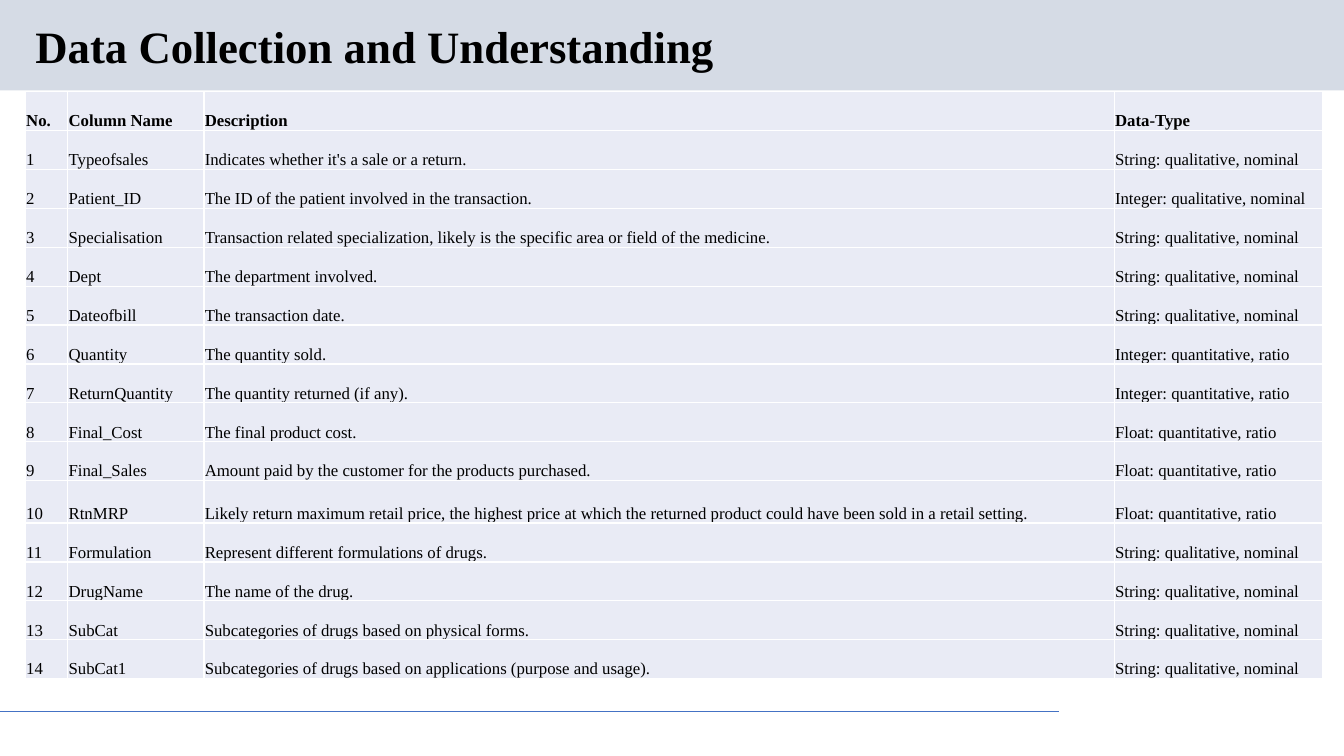
"""Build the slide that lists the columns of the sales data."""
import pptx
import pptx.util
import pptx.dml.color
import pptx.enum.shapes
import pptx.enum.text
import pptx.oxml
import pptx.oxml.ns
from pptx.util import Cm

FONT = "Times New Roman"


def color(code):
    return pptx.dml.color.RGBColor.from_string(code)


def style(para, size, bold):
    para.font.name = FONT
    para.font.size = pptx.util.Pt(size)
    para.font.bold = bold
    para.font.color.rgb = color("000000")


deck = pptx.Presentation()
deck.slide_width, deck.slide_height = Cm(33.87), Cm(19.05)
slide = deck.slides.add_slide(deck.slide_layouts[6])
shapes = slide.shapes

band = shapes.add_shape(pptx.enum.shapes.MSO_SHAPE.RECTANGLE, 0, 0, deck.slide_width, Cm(2.28))
band.shadow.inherit = False
band.fill.solid()
band.fill.fore_color.rgb = color("D5DBE5")
band.line.fill.background()

rule = shapes.add_connector(pptx.enum.shapes.MSO_CONNECTOR.STRAIGHT, 0, Cm(17.93), Cm(26.7), Cm(17.93))
rule.line.color.rgb = color("4472C4")
rule.line.width = pptx.util.Pt(0.75)
rule.element.spPr.append(pptx.oxml.parse_xml(f'<a:effectLst {pptx.oxml.ns.nsdecls("a")}/>'))

title = shapes.add_textbox(Cm(0.64), Cm(0.48), Cm(29.21), Cm(1.5))
frame = title.text_frame
frame.word_wrap = True
frame.vertical_anchor = pptx.enum.text.MSO_ANCHOR.MIDDLE
frame.text = "Data Collection and Understanding"
frame.paragraphs[0].line_spacing = 0.9
style(frame.paragraphs[0], 32, True)

text, whole, real = "String: qualitative, nominal", "Integer: quantitative, ratio", "Float: quantitative, ratio"
fields = [
    ("Typeofsales", "Indicates whether it's a sale or a return.", text),
    ("Patient_ID", "The ID of the patient involved in the transaction.", "Integer: qualitative, nominal"),
    ("Specialisation",
     "Transaction related specialization, likely is the specific area or field of the medicine.", text),
    ("Dept", "The department involved.", text),
    ("Dateofbill", "The transaction date.", text),
    ("Quantity", "The quantity sold.", whole),
    ("ReturnQuantity", "The quantity returned (if any).", whole),
    ("Final_Cost", "The final product cost.", real),
    ("Final_Sales", "Amount paid by the customer for the products purchased.", real),
    ("RtnMRP", "Likely return maximum retail price, the highest price at which the returned product "
     "could have been sold in a retail setting.", real),
    ("Formulation", "Represent different formulations of drugs.", text),
    ("DrugName", "The name of the drug.", text),
    ("SubCat", "Subcategories of drugs based on physical forms.", text),
    ("SubCat1", "Subcategories of drugs based on applications (purpose and usage).", text),
]
rows = [("No.", "Column Name", "Description", "Data-Type")]
rows += [(str(num), *field) for num, field in enumerate(fields, 1)]
widths = [1.07, 3.43, 22.94, 5.26]

table = shapes.add_table(len(rows), len(widths), Cm(0.64), Cm(2.31), Cm(sum(widths)), Cm(14.79)).table
table.horz_banding = False
for col, width in zip(table.columns, widths):
    col.width = Cm(width)
for row, line in enumerate(rows):
    table.rows[row].height = Cm(1.07 if row == 10 else 0.98)
    for col, value in enumerate(line):
        cell = table.cell(row, col)
        cell.text = value
        style(cell.text_frame.paragraphs[0], 12, row == 0)
        cell.vertical_anchor = pptx.enum.text.MSO_ANCHOR.BOTTOM
        cell.margin_left = cell.margin_right = cell.margin_top = Cm(0.02)
        cell.margin_bottom = 0
        props = cell._tc.get_or_add_tcPr()
        for side in ("lnL", "lnR", "lnT", "lnB"):
            props.append(pptx.oxml.parse_xml(
                f'<a:{side} {pptx.oxml.ns.nsdecls("a")} w="12700"><a:solidFill>'
                f'<a:srgbClr val="FFFFFF"/></a:solidFill></a:{side}>'))
        cell.fill.solid()
        cell.fill.fore_color.rgb = color("E9EBF5")

deck.save("out.pptx")
